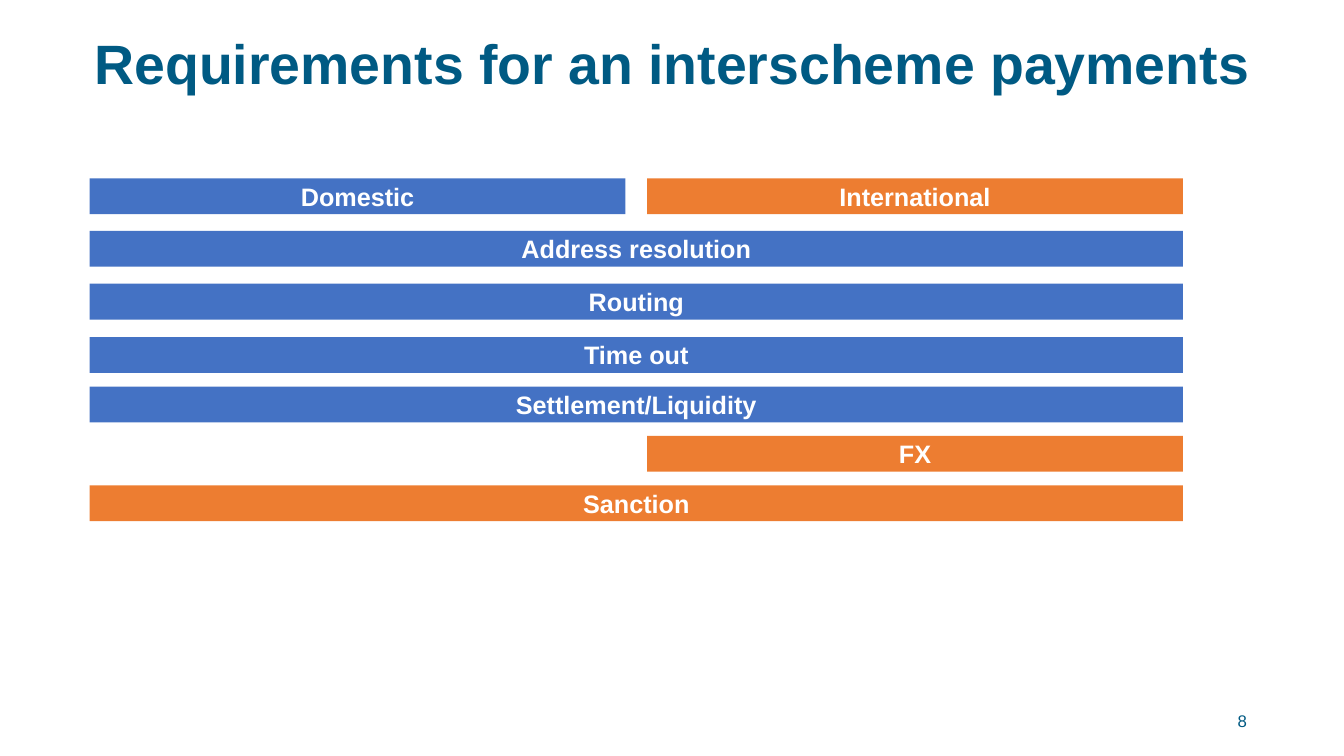
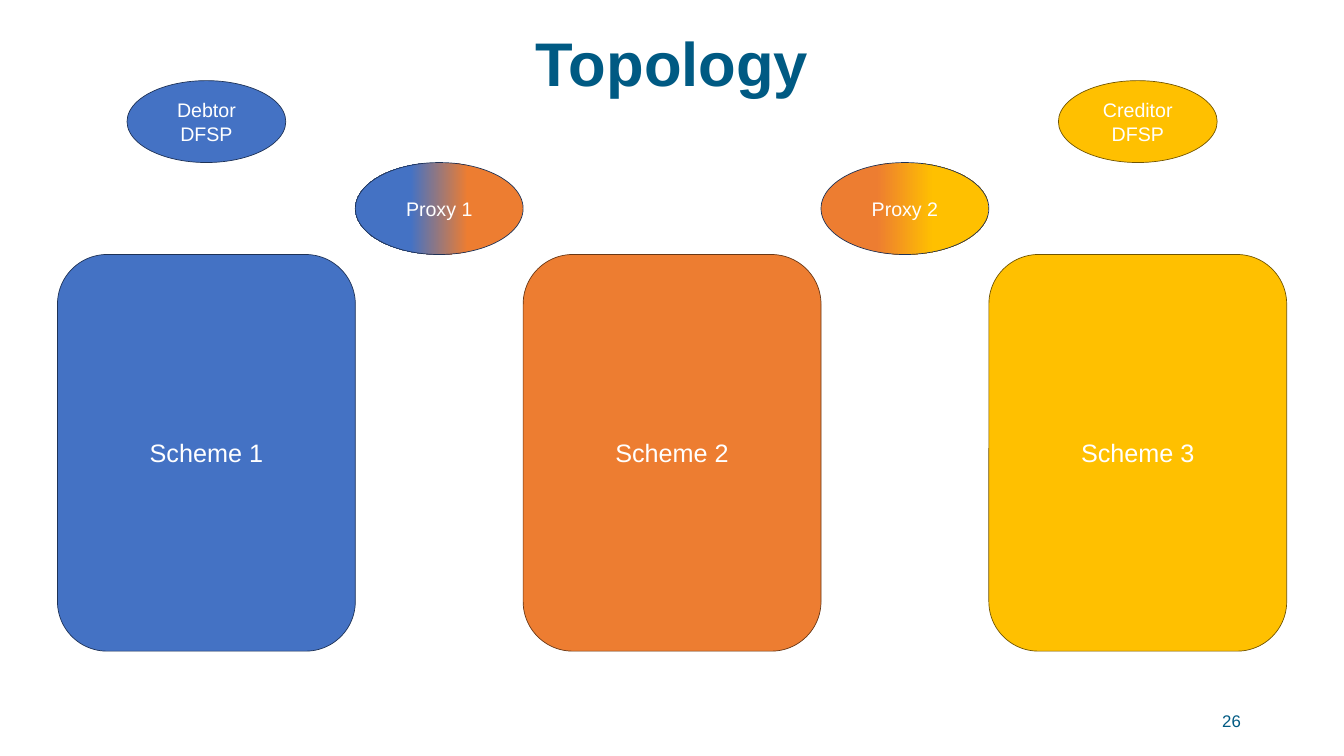
import copy
from dataclasses import dataclass

import pptx
import pptx.dml.color
import pptx.enum.shapes
import pptx.enum.text
import pptx.oxml.ns
import pptx.util

Pt = pptx.util.Pt
Shape = pptx.enum.shapes.MSO_SHAPE
Anchor = pptx.enum.text.MSO_ANCHOR
Align = pptx.enum.text.PP_ALIGN
AutoSize = pptx.enum.text.MSO_AUTO_SIZE


@dataclass(frozen=True)
class Theme:
    font: str = "Arial"
    heading: str = "005A83"
    white: str = "FFFFFF"
    blue: str = "4472C4"
    orange: str = "ED7D31"
    yellow: str = "FFC000"
    blue_edge: str = "1E3256"
    orange_edge: str = "683715"
    yellow_edge: str = "705400"
    title_size: float = 88
    long_title_size: float = 79.2
    label_size: float = 36
    small_size: float = 28
    number_size: float = 24


def rgb(colour):
    return pptx.dml.color.RGBColor.from_string(colour)


class SlideBuilder:
    def __init__(self, deck, theme):
        self.deck = deck
        self.theme = theme
        self.page = None

    def set_text(self, box, text, size, colour, align=Align.CENTER, bold=False, anchor=Anchor.MIDDLE):
        frame = box.text_frame
        frame.word_wrap = True
        frame.auto_size = AutoSize.NONE
        frame.vertical_anchor = anchor
        para = frame.paragraphs[0]
        para.text = text
        para.alignment = align
        para.font.name = self.theme.font
        para.font.size = Pt(size)
        para.font.bold = bold
        para.font.color.rgb = rgb(colour)
        return para

    def add_page(self, title, title_size, number, number_left):
        self.page = self.deck.slides.add_slide(self.deck.slide_layouts.get_by_name("Title Only"))
        heading = self.page.shapes.title
        heading.left, heading.top = Pt(44.64), Pt(36.72)
        heading.width, heading.height = Pt(1830.96), Pt(117.36)
        para = self.set_text(heading, title, title_size, self.theme.heading, bold=True)
        para.line_spacing = 0.9
        box = self.page.shapes.add_textbox(Pt(number_left), Pt(1000.8), Pt(432), Pt(57.6))
        self.set_text(box, number, self.theme.number_size, self.theme.heading, Align.RIGHT)

    def add_shape(self, kind, left, top, width, height, fill, edge=None):
        shape = self.page.shapes.add_shape(kind, Pt(left), Pt(top), Pt(width), Pt(height))
        shape.shadow.inherit = False
        shape.fill.solid()
        shape.fill.fore_color.rgb = rgb(fill)
        if edge:
            shape.line.color.rgb = rgb(edge)
            shape.line.width = Pt(1)
        else:
            shape.line.fill.background()
        return shape

    def add_bar(self, text, left, top, width, fill):
        bar = self.add_shape(Shape.RECTANGLE, left, top, width, 51.12, fill)
        self.set_text(bar, text, self.theme.label_size, self.theme.white, bold=True, anchor=Anchor.TOP)
        bar.text_frame.auto_size = AutoSize.SHAPE_TO_FIT_TEXT

    def add_scheme(self, text, left, top, width, height, fill, edge):
        scheme = self.add_shape(Shape.ROUNDED_RECTANGLE, left, top, width, height, fill, edge)
        self.set_text(scheme, text, self.theme.label_size, self.theme.white)

    def add_ellipse(self, text, left, top, width, height, fill, edge):
        ellipse = self.add_shape(Shape.OVAL, left, top, width, height, fill, edge)
        self.set_text(ellipse, text, self.theme.small_size, self.theme.white)
        return ellipse

    def add_proxy(self, text, left, top, width, height, start, end, angle):
        proxy = self.add_ellipse(text, left, top, width, height, start, self.theme.blue_edge)
        proxy.fill.gradient()
        proxy.fill.gradient_angle = angle
        stop_list = next(proxy._element.iter(pptx.oxml.ns.qn("a:gsLst")))
        for stop in list(stop_list):
            stop_list.append(copy.deepcopy(stop))
        blend = [(0, start), (0.33, start), (0.67, end), (1, end)]
        for stop, (position, colour) in zip(proxy.fill.gradient_stops, blend):
            stop.position = position
            stop.color.rgb = rgb(colour)


def build_requirements(builder):
    theme = builder.theme
    builder.add_page("Requirements for an interscheme payments", theme.long_title_size, "8", 1356.48)
    left, half, full = 128.16, 765.36, 1561.68
    right = left + full - half
    bars = [
        ("Domestic", left, 254.88, half, theme.blue),
        ("International", right, 254.88, half, theme.orange),
        ("Address resolution", left, 329.76, full, theme.blue),
        ("Routing", left, 405.36, full, theme.blue),
        ("Time out", left, 481.68, full, theme.blue),
        ("Settlement/Liquidity", left, 552.24, full, theme.blue),
        ("FX", right, 622.8, half, theme.orange),
        ("Sanction", left, 693.36, full, theme.orange),
    ]
    for bar in bars:
        builder.add_bar(*bar)


def build_topology(builder):
    theme = builder.theme
    builder.add_page("Topology", theme.title_size, "26", 1347.84)
    left, step, width = 82.08, 665.28, 425.52
    scheme_top, scheme_height = 363.6, 566.64
    bank_top, bank_width, bank_height = 115.2, 226.8, 117
    proxy_top = bank_top + bank_height
    proxy_size = (step - width, scheme_top - proxy_top)
    columns = [left + step * index for index in range(3)]
    colours = [
        (theme.blue, theme.blue_edge),
        (theme.orange, theme.orange_edge),
        (theme.yellow, theme.yellow_edge),
    ]
    for number, (column, pair) in enumerate(zip(columns, colours), 1):
        builder.add_scheme(f"Scheme {number}", column, scheme_top, width, scheme_height, *pair)
    for text, index in (("Debtor DFSP", 0), ("Creditor DFSP", 2)):
        bank_left = columns[index] + (width - bank_width) / 2
        builder.add_ellipse(text, bank_left, bank_top, bank_width, bank_height, *colours[index])
    for index, (end, angle) in enumerate([(theme.blue, 180), (theme.yellow, 0)]):
        builder.add_proxy(f"Proxy {index + 1}", columns[index] + width, proxy_top, *proxy_size,
                          theme.orange, end, angle)


def main():
    deck = pptx.Presentation()
    deck.slide_width, deck.slide_height = Pt(1920), Pt(1080)
    builder = SlideBuilder(deck, Theme())
    build_requirements(builder)
    build_topology(builder)
    deck.save("out.pptx")


if __name__ == "__main__":
    main()
